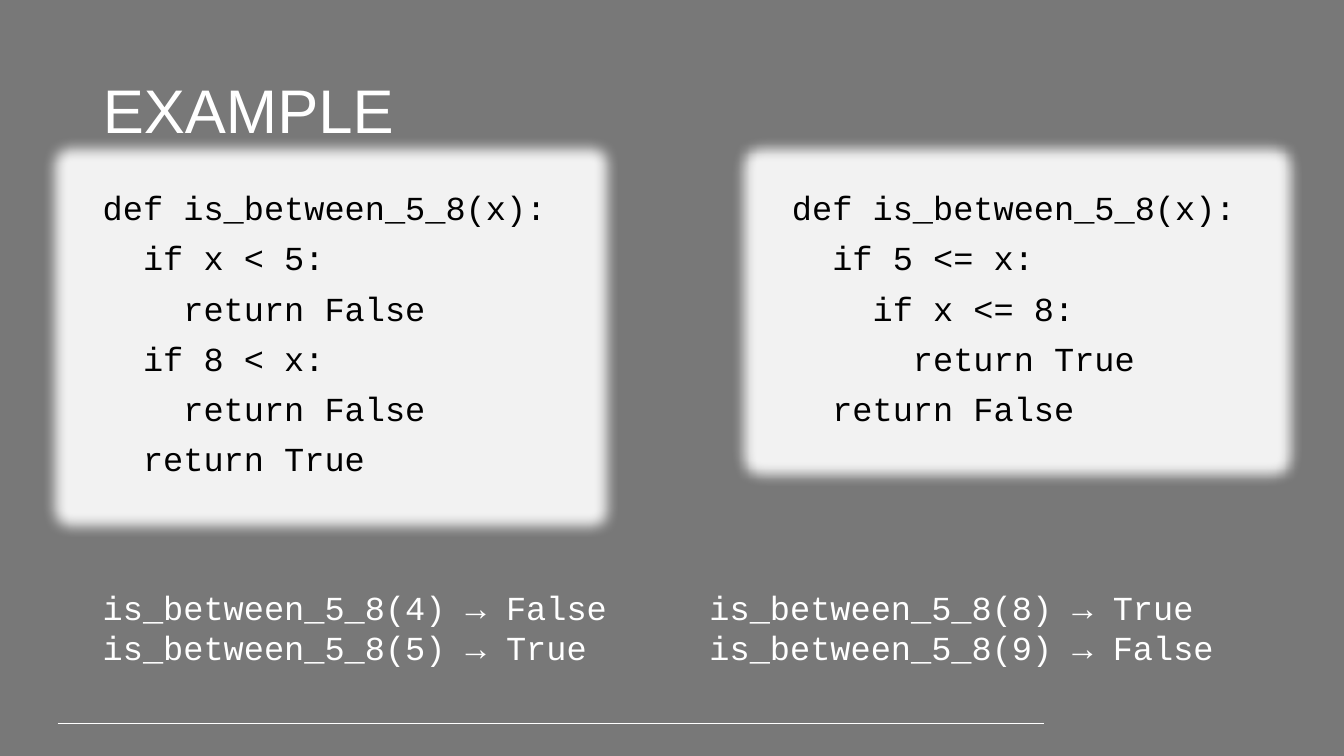
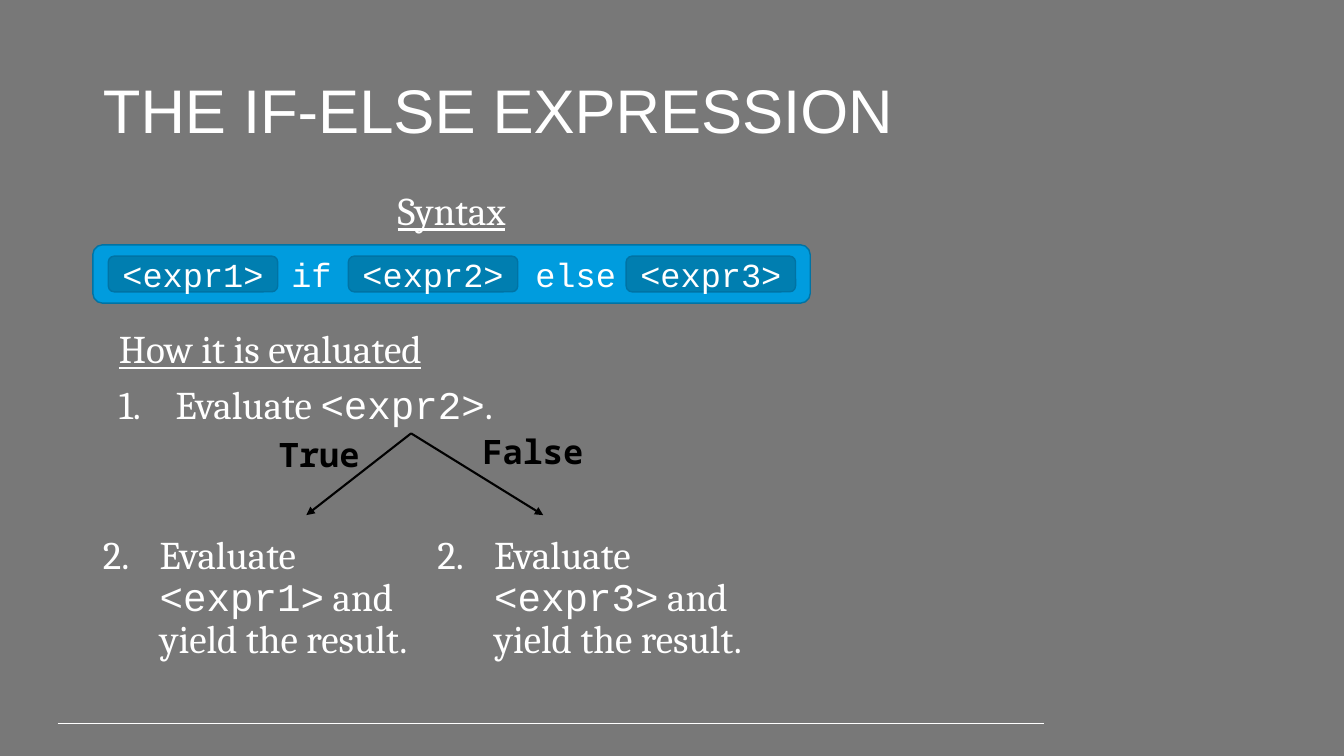
from lxml import etree
from pptx import Presentation
from pptx.dml.color import RGBColor
from pptx.enum.shapes import MSO_CONNECTOR, MSO_SHAPE
from pptx.enum.text import MSO_ANCHOR, MSO_AUTO_SIZE, PP_ALIGN
from pptx.oxml.ns import qn
from pptx.util import Cm, Pt

COLORS = {
    "background": "787878",
    "text": "FFFFFF",
    "code": "000000",
    "card": "F2F2F2",
    "bar": "009CDE",
    "slot": "007EB0",
    "outline": "0073A4",
}
HEADING, BODY, MONO, LABEL = "Arial", "Cambria", "Courier New", "Noto Sans Mono"
LEFT = 2.34
TITLE_BOX = (LEFT, 1.02, 29.21, 3.68)
HANGING = 1.43


def rgb(name):
    """Return a palette colour."""
    return RGBColor.from_string(COLORS[name])


def xml(parent, tag, **attributes):
    """Append a drawing element and return it."""
    return etree.SubElement(parent, qn(tag), attributes)


def place(shape, box):
    """Move a shape to a box given in centimetres."""
    shape.left, shape.top, shape.width, shape.height = map(Cm, box)


def write(frame, paragraphs, size, color="text", align=PP_ALIGN.LEFT,
          anchor=MSO_ANCHOR.TOP, spacing=1.0, before=0, bold=False, underline=False):
    """Write paragraphs, each a list of (text, font) runs, into a text frame."""
    frame.word_wrap = True
    frame.auto_size = MSO_AUTO_SIZE.NONE
    frame.vertical_anchor = anchor
    for index, runs in enumerate(paragraphs):
        paragraph = frame.add_paragraph() if index else frame.paragraphs[0]
        paragraph.alignment = align
        paragraph.line_spacing = spacing
        paragraph.space_before = Pt(before)
        for text, font in runs:
            run = paragraph.add_run()
            run.text = text
            run.font.name = font
            run.font.size = Pt(size)
            run.font.bold = bold
            run.font.underline = underline
            run.font.color.rgb = rgb(color)


def set_bullet(paragraph, number=None):
    """Number a paragraph with a hanging indent, or clear its bullet."""
    properties = paragraph._p.get_or_add_pPr()
    indent = Cm(HANGING) if number else 0
    properties.set("marL", str(indent))
    properties.set("indent", str(-indent))
    if number:
        xml(properties, "a:buFont", typeface="+mj-lt")
        xml(properties, "a:buAutoNum", type="arabicPeriod", startAt=str(number))
    else:
        xml(properties, "a:buNone")


def add_line(slide, start, end, color, width, arrow=False):
    """Draw a straight line, optionally with an arrowhead at its end."""
    line = slide.shapes.add_connector(MSO_CONNECTOR.STRAIGHT, *map(Cm, start + end))
    line.line.color.rgb = rgb(color)
    line.line.width = Pt(width)
    properties = line.element.spPr
    if arrow:
        xml(properties.find(qn("a:ln")), "a:tailEnd", type="triangle")
    xml(properties, "a:effectLst")
    return line


def add_panel(slide, box, fill, kind=MSO_SHAPE.RECTANGLE, outline=None):
    """Add a flat filled shape."""
    panel = slide.shapes.add_shape(kind, *map(Cm, box))
    panel.shadow.inherit = False
    panel.fill.solid()
    panel.fill.fore_color.rgb = rgb(fill)
    if outline:
        panel.line.color.rgb = rgb(outline)
        panel.line.width = Pt(1)
    else:
        panel.line.fill.background()
    return panel


def add_label(slide, box, lines, font, **style):
    """Add a text box with one paragraph per line."""
    label = slide.shapes.add_textbox(*map(Cm, box))
    write(label.text_frame, [[(line, font)] for line in lines], 24, **style)


def add_titled_slide(prs, layout, title):
    """Add a slide of the given layout and style its title."""
    slide = prs.slides.add_slide(prs.slide_layouts.get_by_name(layout))
    place(slide.shapes.title, TITLE_BOX)
    write(slide.shapes.title.text_frame, [[(title, HEADING)]], 44,
          anchor=MSO_ANCHOR.MIDDLE, spacing=0.9)
    return slide


def style_master(prs, slide):
    """Give the master its background and footer rule."""
    fill = prs.slide_master.background.fill
    fill.solid()
    fill.fore_color.rgb = rgb("background")
    rule = add_line(slide, (1.45, 18.24), (26.31, 18.24), "text", 0.75)
    prs.slide_master.shapes.element.append(rule.element)


def add_code_card(slide, box, code):
    """Show a code listing on a light card with a soft glow."""
    card = add_panel(slide, box, "card")
    effects = card.element.spPr.find(qn("a:effectLst"))
    glow = xml(effects, "a:glow", rad=str(Pt(18)))
    xml(glow, "a:srgbClr", val=COLORS["card"])
    write(card.text_frame, [[(line, MONO)] for line in code.splitlines()], 24,
          color="code", spacing=0.9, before=10)


def add_syntax_bar(slide, box):
    """Draw the expression bar: keywords on tab stops between three slots."""
    left, top, width, height = box
    bar = add_panel(slide, box, "bar", MSO_SHAPE.ROUNDED_RECTANGLE, "outline")
    frame = bar.text_frame
    frame.margin_left = 0
    write(frame, [[("\tif\telse", MONO)]], 24, anchor=MSO_ANCHOR.MIDDLE)
    tabs = xml(frame.paragraphs[0]._p.get_or_add_pPr(), "a:tabLst")
    for position in (4.93, 11.08):
        xml(tabs, "a:tab", pos=str(Cm(position)), algn="l")

    slot_height = 0.9
    for number, offset in enumerate((0.39, 6.44, 13.44), 1):
        slot_box = (left + offset, top + (height - slot_height) / 2, 4.27, slot_height)
        slot = add_panel(slide, slot_box, "slot", MSO_SHAPE.ROUNDED_RECTANGLE, "outline")
        write(slot.text_frame, [[(f"<expr{number}>", MONO)]], 24,
              align=PP_ALIGN.CENTER, anchor=MSO_ANCHOR.MIDDLE)


def fill_body(slide, idx, box, paragraphs, numbers, **style):
    """Fill a body placeholder; numbers holds each paragraph's number or None."""
    body = slide.placeholders[idx]
    place(body, box)
    write(body.text_frame, paragraphs, 28, spacing=0.9, before=10, **style)
    for paragraph, number in zip(body.text_frame.paragraphs, numbers):
        set_bullet(paragraph, number)
    return body


def add_branches(slide, box):
    """Draw the True and False arrows from the apex of the box."""
    left, top, width, height = box
    apex = (left + 2.64, top)
    for end in (left, left + width):
        add_line(slide, apex, (end, top + height), "code", 1.5, arrow=True)
    for text, dx, dy, label_width in (("True", -0.94, -0.12, 2.67),
                                      ("False", 4.19, -0.18, 3.15)):
        add_label(slide, (left + dx, top + dy, label_width, 1.27), [text], LABEL,
                  color="code", bold=True)


def build_example(prs):
    """Build the slide comparing two versions of a function."""
    slide = add_titled_slide(prs, "Title Only", "EXAMPLE")
    add_code_card(slide, (19.71, 4.7, 11.84, 6.3), """\
def is_between_5_8(x):
  if 5 <= x:
    if x <= 8:
      return True
  return False""")
    add_code_card(slide, (LEFT, 4.7, 11.99, 7.57), """\
def is_between_5_8(x):
  if x < 5:
    return False
  if 8 < x:
    return False
  return True""")
    for left, results in ((LEFT, {4: False, 5: True}), (17.63, {8: True, 9: False})):
        calls = [f"is_between_5_8({x}) → {result}" for x, result in results.items()]
        add_label(slide, (left, 14.66, 13.9, 2.31), calls, MONO)
    return slide


def build_if_else(prs):
    """Build the slide on the syntax and evaluation of if-else."""
    slide = add_titled_slide(prs, "Comparison", "THE IF-ELSE EXPRESSION")
    fill_body(slide, 1, (LEFT, 4.7, 18.08, 1.35), [[("Syntax", BODY)]], [None],
              align=PP_ALIGN.CENTER, underline=True)
    add_syntax_bar(slide, (LEFT, 6.17, 18.08, 1.47))

    first_step = [("Evaluate ", BODY), ("<expr2>", MONO), (".", BODY)]
    steps = fill_body(slide, 3, (2.74, 8.18, 14.12, 3.05),
                      [[("How it is evaluated", BODY)], first_step], [None, 1])
    steps.text_frame.paragraphs[0].runs[0].font.underline = True

    add_branches(slide, (7.72, 10.92, 5.97, 2.06))
    for idx, left, name in ((2, LEFT, "<expr1>"), (4, 10.77, "<expr3>")):
        outcome = [("Evaluate ", BODY), (name, MONO), (" and yield the result.", BODY)]
        fill_body(slide, idx, (left, 13.36, 9.45, 3.48), [outcome], [2])


def main():
    """Build and save the presentation."""
    prs = Presentation()
    prs.slide_width, prs.slide_height = Cm(33.87), Cm(19.05)
    example = build_example(prs)
    style_master(prs, example)
    build_if_else(prs)
    prs.save("out.pptx")


main()
